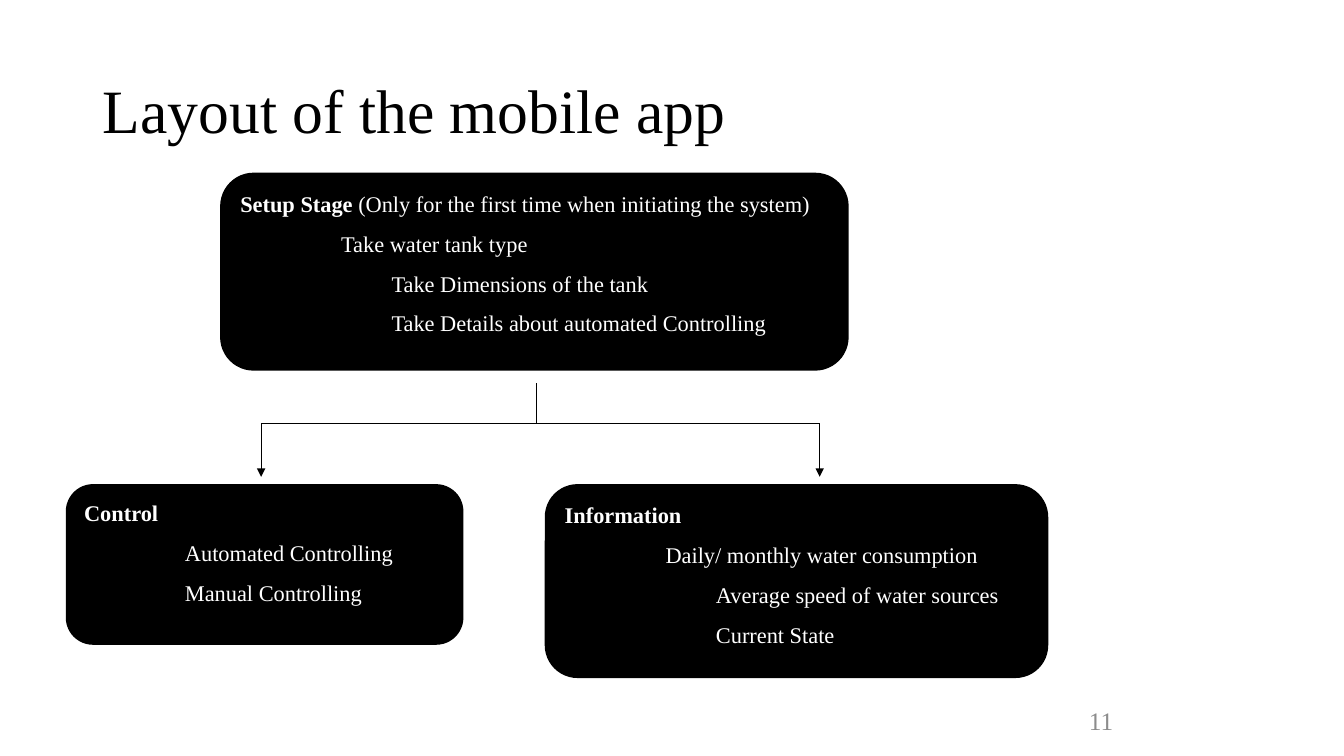
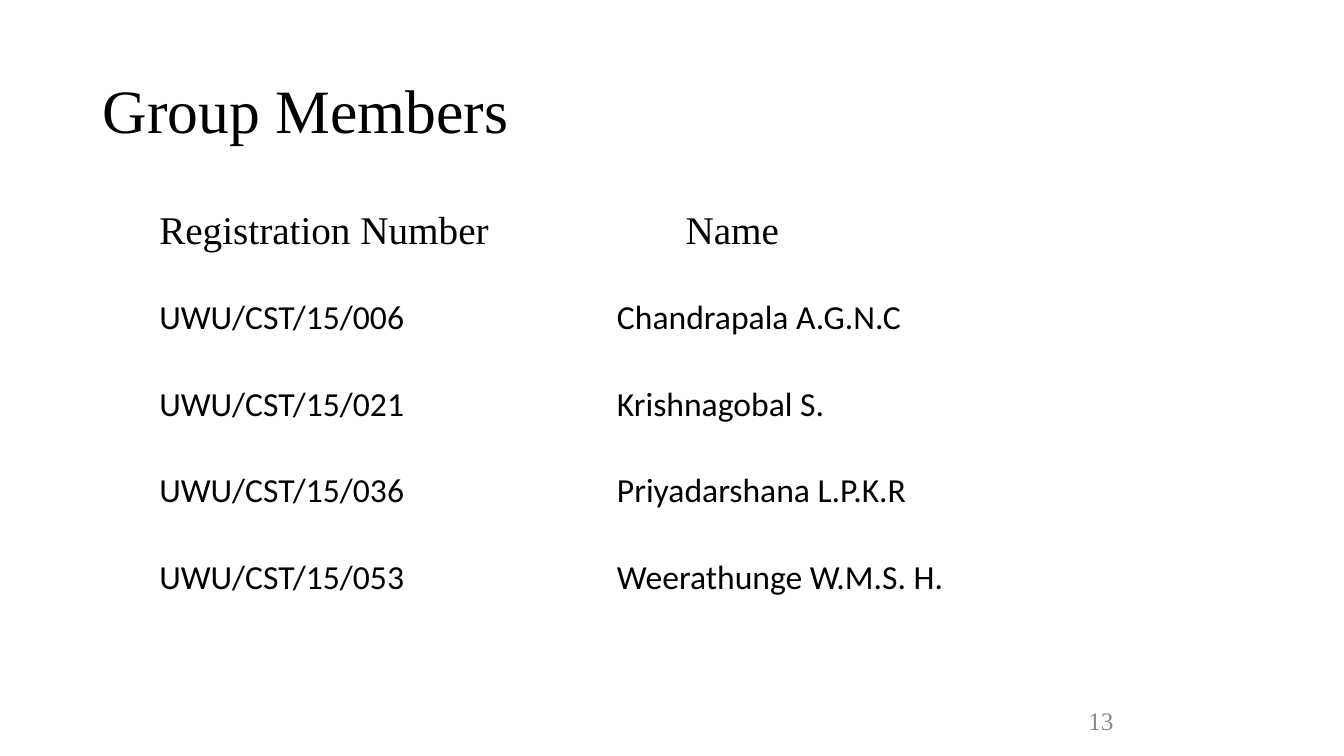
from pptx import Presentation
from pptx.dml.color import RGBColor as Color
from pptx.enum.shapes import MSO_CONNECTOR as Wire, MSO_SHAPE as Shape
from pptx.enum.text import MSO_ANCHOR as Anchor, PP_ALIGN as Align
from pptx.oxml.ns import qn
from pptx.util import Inches, Pt
from lxml.etree import SubElement

THEME = {
    "serif": "Times New Roman", "sans": "Calibri",
    "ink": Color(0, 0, 0), "paper": Color(255, 255, 255), "gray": Color(0x8C, 0x8C, 0x8C),
    "title": 44, "head": 28, "cell": 24, "page": 18, "box": 16,
}

BOXES = [
    ((2.19, 1.72, 6.22, 1.95), "Setup Stage ",
     "(Only for the first time when initiating the system)",
     [(1, "Take water tank type"), (1.5, "Take Dimensions of the tank"),
      (1.5, "Take Details about automated Controlling")]),
    ((0.66, 4.81, 3.93, 1.58), "Control", "",
     [(1, "Automated Controlling"), (1, "Manual Controlling")]),
    ((5.41, 4.81, 4.98, 1.91), "Information", "",
     [(1, "Daily/ monthly water consumption"), (1.5, "Average speed of water sources"),
      (1.5, "Current State")]),
]
TREE = {"stem": 5.32, "ends": (2.59, 8.13), "top": 3.8, "bar": 4.2, "tip": 4.73}

ROWS = [
    ("Registration Number", "Name"),
    ("UWU/CST/15/006", "Chandrapala A.G.N.C"),
    ("UWU/CST/15/021", "Krishnagobal S."),
    ("UWU/CST/15/036", "Priyadarshana L.P.K.R"),
    ("UWU/CST/15/053", "Weerathunge W.M.S. H."),
]
COLS = (4.54, 4.12)
ROW = 0.86


def inch(*nums):
    return [Inches(n) for n in nums]


def style(para, size, face="serif", ink="ink"):
    for run in para.runs:
        run.font.size = Pt(THEME[size])
        run.font.name = THEME[face]
        run.font.color.rgb = THEME[ink]


def start(deck, title, width, page):
    slide = deck.slides.add_slide(deck.slide_layouts[5])
    head = slide.shapes.title
    head.left, head.top, head.width, head.height = inch(0.92, 0.4, width, 1.45)
    head.text_frame.text = title
    head.text_frame.vertical_anchor = Anchor.MIDDLE
    para = head.text_frame.paragraphs[0]
    para.alignment, para.line_spacing = Align.LEFT, 0.9
    style(para, "title")
    foot = slide.shapes.add_textbox(*inch(9.42, 6.95, 3, 0.4)).text_frame
    foot.word_wrap = True
    foot.vertical_anchor = Anchor.MIDDLE
    foot.text = page
    foot.paragraphs[0].alignment = Align.CENTER
    style(foot.paragraphs[0], "page", ink="gray")
    return slide


def add_box(slide, area, name, note, items):
    box = slide.shapes.add_shape(Shape.ROUNDED_RECTANGLE, *inch(*area))
    box.shadow.inherit = False
    box.fill.solid()
    box.fill.fore_color.rgb = box.line.color.rgb = THEME["ink"]
    box.line.width = Pt(1)
    frame = box.text_frame
    frame.word_wrap = True
    frame.vertical_anchor = Anchor.TOP
    frame.text = name
    lead = frame.paragraphs[0]
    lead.runs[0].font.bold = True
    if note:
        lead.add_run().text = note
    for dent, text in items:
        para = frame.add_paragraph()
        para.text = text
        prop = para._p.get_or_add_pPr()
        prop.set("marL", str(Inches(dent)))
        prop.set("indent", "0")
    for para in frame.paragraphs:
        para.alignment = Align.LEFT
        para.line_spacing, para.space_after = 1.07, Pt(8)
        style(para, "box", ink="paper")


def add_line(group, ends, arrow=False):
    line = group.shapes.add_connector(Wire.STRAIGHT, *inch(*ends))
    line.line.color.rgb = THEME["ink"]
    line.line.width = Pt(0.5)
    prop = line.element.spPr
    if arrow:
        SubElement(prop.find(qn("a:ln")), qn("a:tailEnd"), type="triangle")
    SubElement(prop, qn("a:effectLst"))


def add_tree(slide, stem, ends, top, bar, tip):
    group = slide.shapes.add_group_shape()
    add_line(group, (ends[0], bar, ends[1], bar))
    add_line(group, (stem, top, stem, bar))
    for end in ends:
        add_line(group, (end, bar, end, tip), True)


def add_grid(slide):
    area = inch(1.51, 1.85, sum(COLS), ROW * len(ROWS))
    grid = slide.shapes.add_table(len(ROWS), len(COLS), *area).table
    grid.first_row = grid.horz_banding = False
    for col, width in zip(grid.columns, COLS):
        col.width = Inches(width)
    for r, row in enumerate(ROWS):
        grid.rows[r].height = Inches(ROW)
        for c, text in enumerate(row):
            cell = grid.cell(r, c)
            cell.fill.background()
            cell.vertical_anchor = Anchor.MIDDLE
            cell.margin_left = cell.margin_right = Inches(0.07)
            cell.margin_top = cell.margin_bottom = 0
            cell.text_frame.text = text
            para = cell.text_frame.paragraphs[0]
            para.line_spacing = 1.07
            style(para, *(("cell", "sans") if r else ("head", "serif")))
    grid.cell(0, 1).margin_left = Inches(0.75)


def main():
    deck = Presentation()
    deck.slide_width, deck.slide_height = inch(13.33, 7.5)
    plan = start(deck, "Layout of the mobile app", 11.5, "11")
    for box in BOXES:
        add_box(plan, *box)
    add_tree(plan, **TREE)
    add_grid(start(deck, "Group Members", 10.08, "13"))
    deck.save("out.pptx")


if __name__ == "__main__":
    main()
